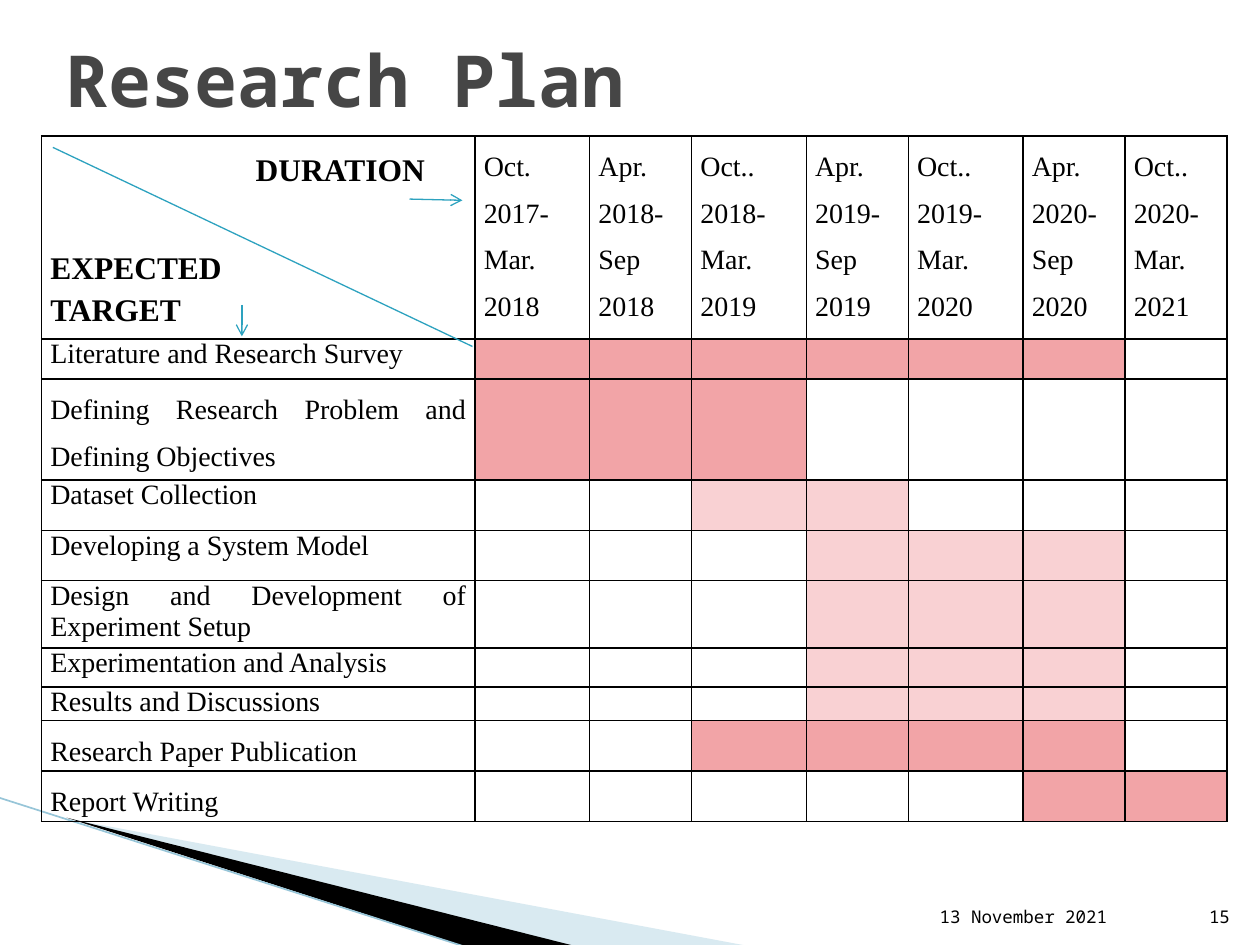
from lxml.etree import SubElement
from pptx import Presentation
from pptx.dml.color import RGBColor
from pptx.enum.shapes import MSO_CONNECTOR
from pptx.enum.text import MSO_ANCHOR, PP_ALIGN
from pptx.oxml.ns import qn
from pptx.util import Inches, Pt

# Content
TITLE, DATE, PAGE = "Research Plan", "13 November 2021", "15"
PERIODS = [
    "Oct. 2017- Mar. 2018", "Apr. 2018- Sep 2018", "Oct.. 2018- Mar. 2019",
    "Apr. 2019- Sep 2019", "Oct.. 2019- Mar. 2020", "Apr. 2020- Sep 2020",
    "Oct.. 2020- Mar. 2021",
]
STRONG, PALE = "F2A4A7", "F9D1D3"
SPACED, PLAIN = {"line": 1.5, "before": 4.8}, {}
# Target, row height, first and last active period, bar colour, spacing
TASKS = [
    ("Literature and Research Survey", 0.32, 1, 6, STRONG, PLAIN),
    ("Defining Research Problem and Defining Objectives", 0.73, 1, 3, STRONG, SPACED),
    ("Dataset Collection", 0.4, 3, 4, PALE, PLAIN),
    ("Developing a System Model", 0.4, 4, 6, PALE, PLAIN),
    ("Design and Development of Experiment Setup", 0.52, 4, 6, PALE, PLAIN),
    ("Experimentation and Analysis", 0.31, 4, 6, PALE, PLAIN),
    ("Results and Discussions", 0.26, 4, 6, PALE, PLAIN),
    ("Research Paper Publication", 0.37, 3, 6, STRONG, SPACED),
    ("Report Writing", 0.37, 6, 7, STRONG, SPACED),
]
HEADER_HEIGHT = 1.61
COLUMN_WIDTHS = [3.44, 0.91, 0.81, 0.91, 0.81, 0.91, 0.81, 0.81]
# Start, end, arrowhead
HEADER_LINES = [
    ((1.92, 2.42), (1.92, 2.67), True),
    ((3.25, 1.58), (3.67, 1.59), True),
    ((0.42, 1.17), (3.75, 2.75), False),
]
# Corner points, colour, opacity in percent
WEDGES = [
    ([(0.55, 6.5), (5.95, 7.51), (4.56, 7.51)], "A0CBDC", 40),
    ([(0.53, 6.49), (4.57, 7.51), (3.72, 7.52)], "000000", 100),
]
MONO, SERIF = "Noto Sans Mono", "Times New Roman"

presentation = Presentation()
presentation.slide_width, presentation.slide_height = Inches(10), Inches(7.5)
slide = presentation.slides.add_slide(presentation.slide_layouts[6])


def color(value):
    return RGBColor.from_string(value)


def write(paragraph, text, font=SERIF, size=16, bold=False, fill="000000",
          align=PP_ALIGN.JUSTIFY, line=None, before=0, indent=0):
    paragraph.alignment = align
    paragraph.space_before = Pt(before)
    if line:
        paragraph.line_spacing = line
    if indent:
        paragraph._p.get_or_add_pPr().set("marL", str(Inches(indent)))
    run = paragraph.add_run()
    run.text = text
    run.font.name, run.font.size, run.font.bold = font, Pt(size), bold
    run.font.color.rgb = color(fill)


def add_text(left, top, width, height, text, anchor, **style):
    box = slide.shapes.add_textbox(*map(Inches, (left, top, width, height)))
    box.text_frame.word_wrap = True
    box.text_frame.vertical_anchor = anchor
    write(box.text_frame.paragraphs[0], text, font=MONO, **style)


def add_line(start, end, line_color, width, arrow=False):
    connector = slide.shapes.add_connector(
        MSO_CONNECTOR.STRAIGHT, *map(Inches, (*start, *end)))
    connector.line.color.rgb = color(line_color)
    connector.line.width = Pt(width)
    if arrow:
        SubElement(connector.line._get_or_add_ln(), qn("a:tailEnd"), type="arrow")
    SubElement(connector._element.spPr, qn("a:effectLst"))


def add_wedge(points, fill, opacity):
    builder = slide.shapes.build_freeform(
        *map(Inches, points[0]), scale=1.0)
    builder.add_line_segments([tuple(map(Inches, point)) for point in points[1:]])
    shape = builder.convert_to_shape()
    shape.shadow.inherit = False
    shape.line.fill.background()
    shape.fill.solid()
    shape.fill.fore_color.rgb = color(fill)
    if opacity < 100:
        rgb = shape._element.spPr.find(qn("a:solidFill")).find(qn("a:srgbClr"))
        SubElement(rgb, qn("a:alpha"), val=str(opacity * 1000))


def format_cell(cell, fill=None):
    cell.margin_left = cell.margin_right = Inches(0.07)
    cell.margin_top = cell.margin_bottom = 0
    properties = cell._tc.get_or_add_tcPr()
    for side in ("lnL", "lnR", "lnT", "lnB"):
        border = SubElement(properties, qn(f"a:{side}"), w=str(Pt(1)))
        solid = SubElement(border, qn("a:solidFill"))
        SubElement(solid, qn("a:srgbClr"), val="000000")
    if fill:
        cell.fill.solid()
        cell.fill.fore_color.rgb = color(fill)
    else:
        cell.fill.background()
    cell.text_frame.paragraphs[0].font.size = Pt(16)


# Corner decoration and title
for wedge in WEDGES:
    add_wedge(*wedge)
add_line((-0.01, 6.33), (3.71, 7.52), "97C5D8", 0.95)
add_text(0.42, 0, 9, 1.25, TITLE, MSO_ANCHOR.MIDDLE,
         size=41, bold=True, fill="464646", align=PP_ALIGN.LEFT)

# Schedule table
row_heights = [HEADER_HEIGHT] + [task[1] for task in TASKS]
table = slide.shapes.add_table(
    len(row_heights), len(COLUMN_WIDTHS), Inches(0.33), Inches(1.08),
    Inches(sum(COLUMN_WIDTHS)), Inches(sum(row_heights))).table
table.first_row = table.horz_banding = False
for column, width in zip(table.columns, COLUMN_WIDTHS):
    column.width = Inches(width)
for row, height in zip(table.rows, row_heights):
    row.height = Inches(height)

# Header row
for cell in table.rows[0].cells:
    format_cell(cell)
corner = table.cell(0, 0).text_frame
write(corner.paragraphs[0], "DURATION", size=18, bold=True, line=1.5, indent=1.63)
write(corner.add_paragraph(), "EXPECTED", size=18, bold=True, before=36)
write(corner.add_paragraph(), "TARGET", size=18, bold=True, before=4)
for column, period in enumerate(PERIODS, 1):
    write(table.cell(0, column).text_frame.paragraphs[0], period, **SPACED)

# Task rows with their active periods
for row, (target, _, first, last, bar, spacing) in enumerate(TASKS, 1):
    for column, cell in enumerate(table.rows[row].cells):
        format_cell(cell, bar if first <= column <= last else None)
    write(table.cell(row, 0).text_frame.paragraphs[0], target, **spacing)

# Header arrows and diagonal
for start, end, arrow in HEADER_LINES:
    add_line(start, end, "2DA2BF", 0.75, arrow)

# Footer
add_text(7.36, 7.01, 2.1, 0.4, DATE, MSO_ANCHOR.BOTTOM, size=10, align=PP_ALIGN.LEFT)
add_text(9.46, 7.01, 0.4, 0.4, PAGE, MSO_ANCHOR.BOTTOM, size=10, align=PP_ALIGN.RIGHT)

presentation.save("out.pptx")
